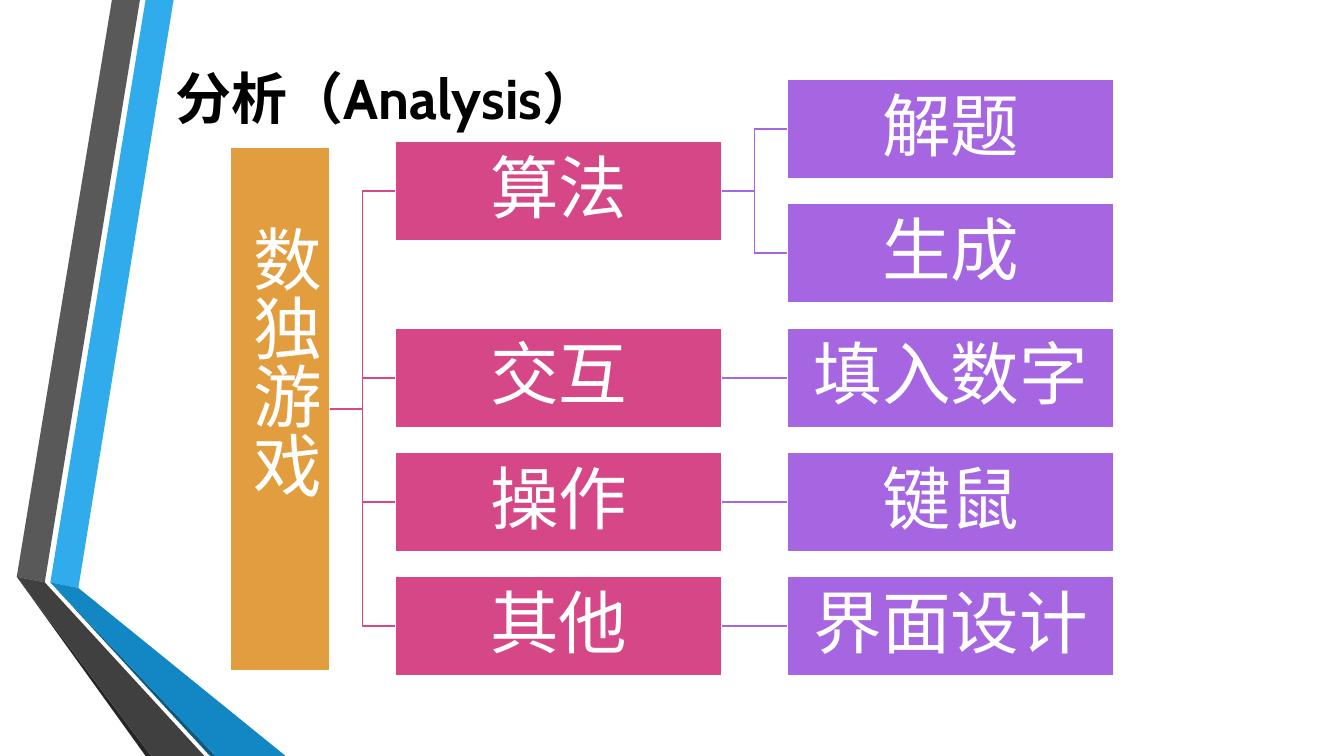
"""Build the Sudoku analysis slide: folded ribbons, a title and a three-level tree."""
import lxml.etree
import pptx
import pptx.dml.color
import pptx.enum.shapes
import pptx.enum.text
import pptx.oxml.ns
import pptx.util

Pt = pptx.util.Pt
RGBColor = pptx.dml.color.RGBColor
CONNECTOR = pptx.enum.shapes.MSO_CONNECTOR
RECTANGLE = pptx.enum.shapes.MSO_SHAPE.RECTANGLE
ANCHOR = pptx.enum.text.MSO_ANCHOR
CENTER = pptx.enum.text.PP_ALIGN.CENTER

BLACK = RGBColor(0x00, 0x00, 0x00)
WHITE = RGBColor(0xFF, 0xFF, 0xFF)
ORANGE = RGBColor(0xE2, 0x9D, 0x3E)
PINK = RGBColor(0xD6, 0x47, 0x87)
PURPLE = RGBColor(0xA6, 0x66, 0xE1)
SKY = RGBColor(0x30, 0xAC, 0xEC)
BLUE = RGBColor(0x12, 0x87, 0xC3)
NAVY = RGBColor(0x0C, 0x5A, 0x82)
GREY = RGBColor(0x59, 0x59, 0x59)
DARK_GREY = RGBColor(0x40, 0x40, 0x40)
CHARCOAL = RGBColor(0x26, 0x26, 0x26)

FONT = "Cabin"
RIBBONS = [
    (SKY, [(36, 416), (55.5, 420), (124.5, 0), (104.5, 0)]),
    (GREY, [(100, 0), (80, 0), (11.5, 412.5), (31.5, 415.5)]),
    (CHARCOAL, [(11.5, 412.5), (104.5, 540), (108.5, 540)]),
    (NAVY, [(36, 416.5), (150, 540), (154, 540)]),
    (BLUE, [(36, 416.5), (154, 540), (204, 540), (55.5, 420)]),
    (DARK_GREY, [(145.5, 540), (31.5, 415.5), (11.5, 412.5), (108.5, 540)]),
]
TREE = [
    ("算法", ["解题", "生成"]),
    ("交互", ["填入数字"]),
    ("操作", ["键鼠"]),
    ("其他", ["界面设计"]),
]
ROOT_LEFT, ROOT_HEIGHT = 164.5, 374.4
TOPIC_LEFT, DETAIL_LEFT = 282.2, 562.3
BOX_WIDTH, BOX_HEIGHT = 233.6, 71.2
FIRST_CENTER, ROW_STEP = 92.2, 88.8


def add_ribbon(slide, color, points):
    """Draw one filled ribbon face without an outline."""
    builder = slide.shapes.build_freeform(*points[0], scale=Pt(1))
    builder.add_line_segments(points[1:], close=True)
    ribbon = builder.convert_to_shape()
    ribbon.shadow.inherit = False
    ribbon.fill.solid()
    ribbon.fill.fore_color.rgb = color
    ribbon.line.fill.background()


def write_text(frame, text, size, color, bold=False):
    """Write one centred run in the slide font."""
    para = frame.paragraphs[0]
    para.alignment = CENTER
    span = para.add_run()
    span.text = text
    span.font.name = FONT
    span.font.size = Pt(size)
    span.font.bold = bold
    span.font.color.rgb = color
    return para


def add_title(slide, text):
    """Place and format the title above the ribbons."""
    title = slide.shapes.title
    slide.shapes.element.append(title.element)
    title.left, title.top = Pt(61.2), Pt(0)
    title.width, title.height = Pt(430.5), Pt(138.2)
    title.text_frame.vertical_anchor = ANCHOR.MIDDLE
    write_text(title.text_frame, text, 40, BLACK, bold=True)


def add_box(slide, left, center, width, height, color):
    """Add a white-edged rectangle centred on a height."""
    box = slide.shapes.add_shape(
        RECTANGLE, Pt(left), Pt(center - height / 2), Pt(width), Pt(height))
    box.shadow.inherit = False
    box.fill.solid()
    box.fill.fore_color.rgb = color
    box.line.color.rgb = WHITE
    box.line.width = Pt(1.25)
    return box


def add_node(slide, left, center, text, color):
    """Add a labelled tree box."""
    box = add_box(slide, left, center, BOX_WIDTH, BOX_HEIGHT, color)
    frame = box.text_frame
    frame.word_wrap = True
    frame.vertical_anchor = ANCHOR.MIDDLE
    frame.margin_left = frame.margin_right = Pt(2.4)
    frame.margin_top = frame.margin_bottom = Pt(2.4)
    write_text(frame, text, 49, WHITE).line_spacing = 0.9
    return box


def add_root_label(slide, text):
    """Add the vertical label on the root bar."""
    label = slide.shapes.add_textbox(Pt(161.3), Pt(154), Pt(69.1), Pt(269.3))
    frame = label.text_frame
    frame.word_wrap = True
    frame.auto_size = pptx.enum.text.MSO_AUTO_SIZE.SHAPE_TO_FIT_TEXT
    label.element.txBody.bodyPr.set("vert", "eaVert")
    write_text(frame, text, 49, WHITE).line_spacing = 0.9


def join(slide, parent, child, color, straight):
    """Connect the right side of a parent to the left side of a child."""
    kind = CONNECTOR.STRAIGHT if straight else CONNECTOR.ELBOW
    link = slide.shapes.add_connector(kind, 0, 0, 0, 0)
    link.begin_connect(parent, 3)
    link.end_connect(child, 1)
    link.line.color.rgb = color
    link.line.width = Pt(1.25)
    lxml.etree.SubElement(link.element.spPr, pptx.oxml.ns.qn("a:effectLst"))


def add_tree(slide):
    """Lay out the root, topics and details, each parent centred on its children."""
    topics = []
    row = 0
    for topic, details in TREE:
        centers = [FIRST_CENTER + ROW_STEP * (row + i) for i in range(len(details))]
        row += len(details)
        middle = (centers[0] + centers[-1]) / 2
        parent = add_node(slide, TOPIC_LEFT, middle, topic, PINK)
        topics.append((parent, middle))
        for center, detail in zip(centers, details):
            child = add_node(slide, DETAIL_LEFT, center, detail, PURPLE)
            join(slide, parent, child, PURPLE, len(details) == 1)
    root_center = (topics[0][1] + topics[-1][1]) / 2
    root = add_box(slide, ROOT_LEFT, root_center, BOX_HEIGHT, ROOT_HEIGHT, ORANGE)
    for topic_box, _ in topics:
        join(slide, root, topic_box, PINK, False)
    add_root_label(slide, "数独游戏")


def main():
    """Create and save the deck."""
    deck = pptx.Presentation()
    deck.slide_width, deck.slide_height = Pt(960), Pt(540)
    slide = deck.slides.add_slide(deck.slide_layouts[5])
    for color, points in RIBBONS:
        add_ribbon(slide, color, points)
    add_title(slide, "分析（Analysis）")
    add_tree(slide)
    deck.save("out.pptx")


if __name__ == "__main__":
    main()
